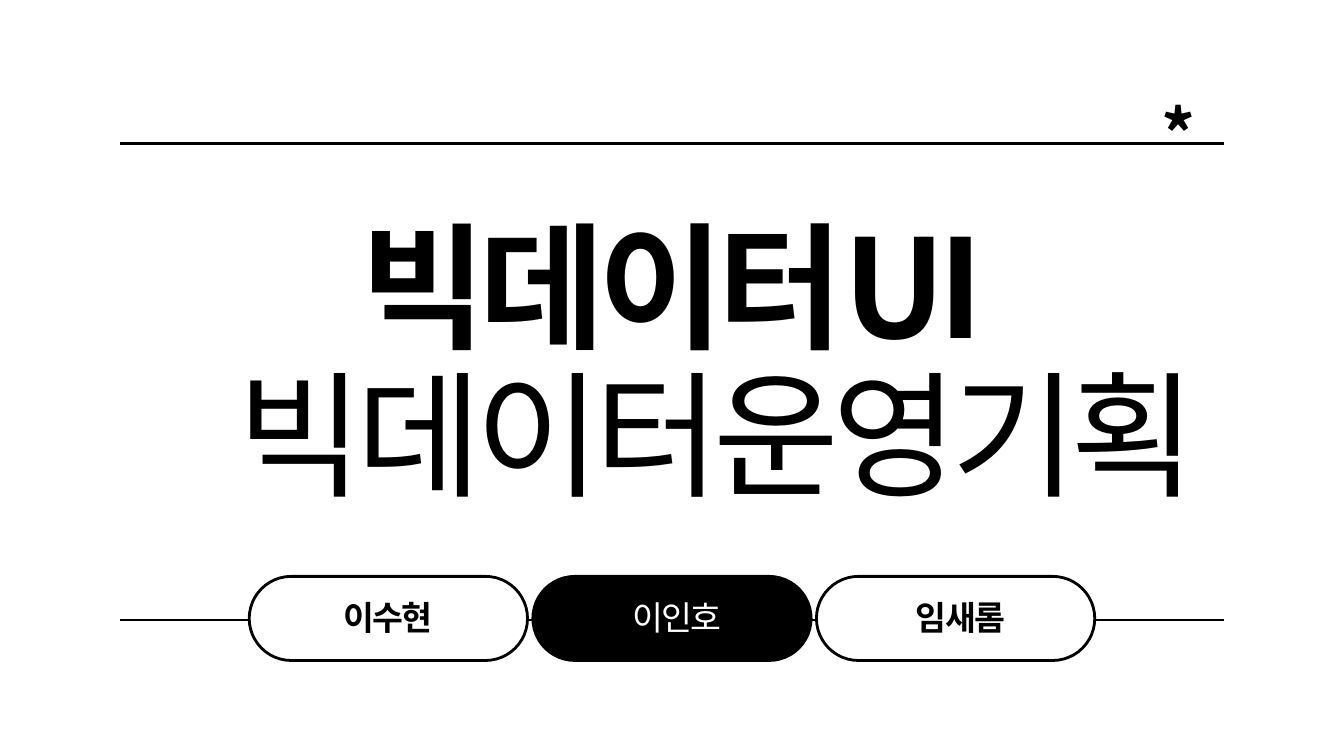
from lxml.etree import SubElement
from pptx import Presentation
from pptx.dml.color import RGBColor
from pptx.enum.shapes import MSO_CONNECTOR, MSO_SHAPE
from pptx.enum.text import MSO_ANCHOR, MSO_AUTO_SIZE, PP_ALIGN
from pptx.oxml.ns import qn
from pptx.util import Cm, Pt

BLACK = RGBColor(0, 0, 0)
WHITE = RGBColor(255, 255, 255)


class Deck:
    """Holds the style and the current slide of the cover."""

    font = "Noto Sans CJK KR"
    stroke = Pt(3)
    leading = 1.12
    tracking = -0.05

    def __init__(self, slide):
        self.slide = slide

    def set_text(self, sp, text, size, bold=True, color=BLACK):
        tf = sp.text_frame
        tf.word_wrap = True
        tf.auto_size = MSO_AUTO_SIZE.SHAPE_TO_FIT_TEXT
        tf.vertical_anchor = MSO_ANCHOR.TOP
        tf.margin_left = tf.margin_top = tf.margin_right = tf.margin_bottom = 0
        p = tf.paragraphs[0]
        p.text = text
        p.alignment = PP_ALIGN.CENTER
        p.line_spacing = Pt(size * self.leading)
        p.font.size = Pt(size)
        p.font.bold = bold
        p.font.color.rgb = color
        p.font.name = self.font
        props = p._p.get_or_add_pPr().get_or_add_defRPr()
        props.set("spc", str(round(size * self.tracking * 100)))
        SubElement(props, qn("a:ea"), typeface=self.font)

    def title(self, x, y, w, h, text, size):
        sp = self.slide.shapes.title
        sp.left, sp.top, sp.width, sp.height = Cm(x), Cm(y), Cm(w), Cm(h)
        self.set_text(sp, text, size)

    def text(self, x, y, w, h, text, size, bold=True, color=BLACK):
        sp = self.slide.shapes.add_textbox(Cm(x), Cm(y), Cm(w), Cm(h))
        self.set_text(sp, text, size, bold, color)

    def rule(self, x1, x2, y):
        line = self.slide.shapes.add_connector(
            MSO_CONNECTOR.STRAIGHT, Cm(x1), Cm(y), Cm(x2), Cm(y))
        line.line.color.rgb = BLACK
        line.line.width = self.stroke
        SubElement(line._element.spPr, qn("a:effectLst"))

    def pill(self, x, y, w, h, fill):
        sp = self.slide.shapes.add_shape(
            MSO_SHAPE.ROUNDED_RECTANGLE, Cm(x), Cm(y), Cm(w), Cm(h))
        sp.adjustments[0] = 0.5
        sp.shadow.inherit = False
        sp.fill.solid()
        sp.fill.fore_color.rgb = fill
        sp.line.color.rgb = BLACK
        sp.line.width = self.stroke


def main():
    prs = Presentation()
    prs.slide_width, prs.slide_height = Cm(50.8), Cm(28.58)
    deck = Deck(prs.slides.add_slide(prs.slide_layouts[5]))

    deck.title(8.92, 8.03, 32.97, 6.02, "빅데이터UI", 146.5)
    deck.text(8.92, 13.64, 36.37, 5.84, "빅데이터운영기획", 146.5, bold=False)
    for y in (23.44, 5.41):
        deck.rule(4.55, 46.25, y)
    deck.text(42.85, 3.68, 3.4, 2.95, "*", 72)

    members = [
        ("이수현", 0.18, True, WHITE, BLACK),
        ("이인호", 0.38, False, BLACK, WHITE),
        ("임새롬", 0.38, True, WHITE, BLACK),
    ]
    for i, (name, inset, bold, fill, color) in enumerate(members):
        x = 9.42 + i * 10.72
        deck.pill(x, 21.79, 10.52, 3.18, fill)
        deck.text(x + inset, 22.66, 10.13, 1.47, name, 36, bold, color)

    prs.save("out.pptx")


if __name__ == "__main__":
    main()
